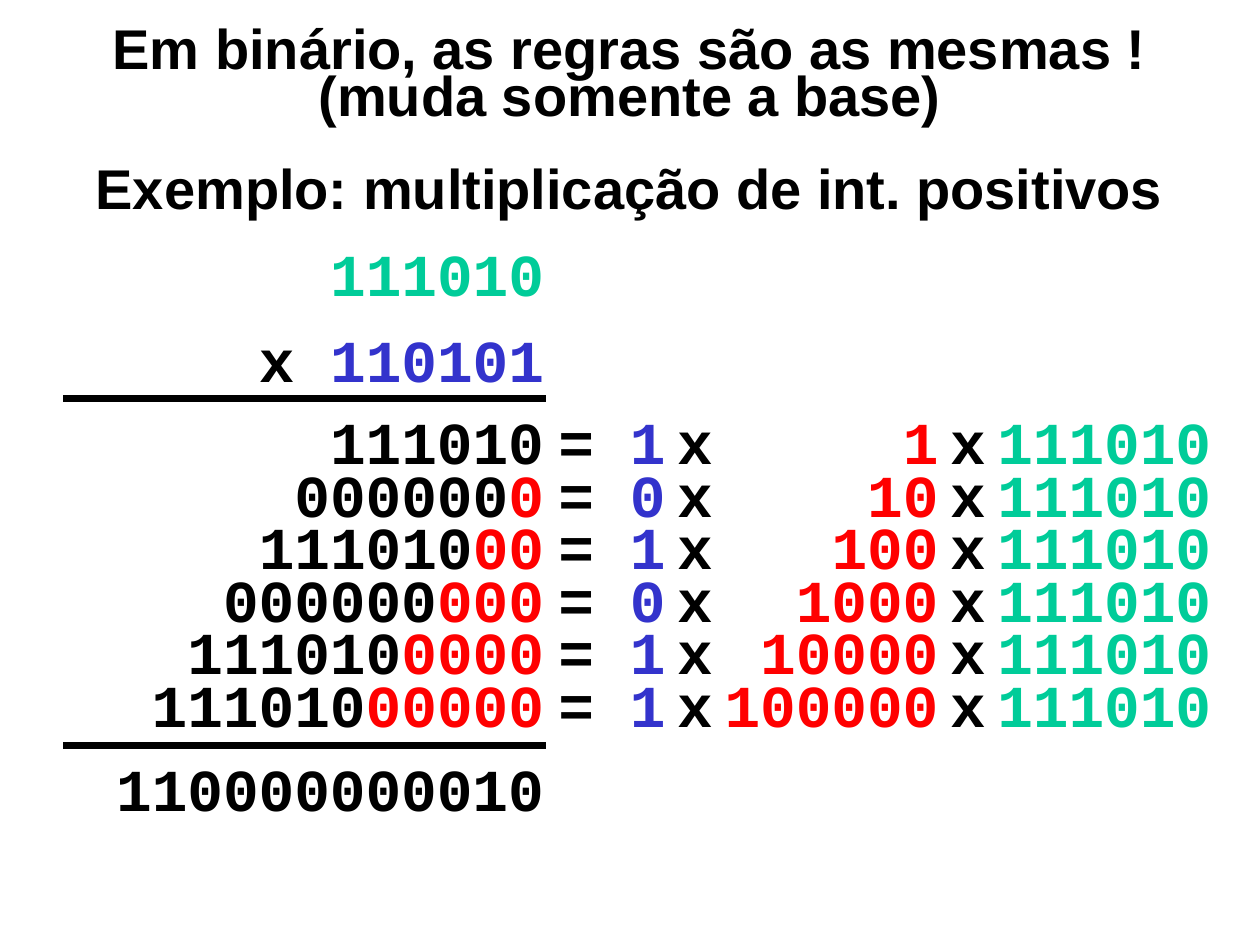
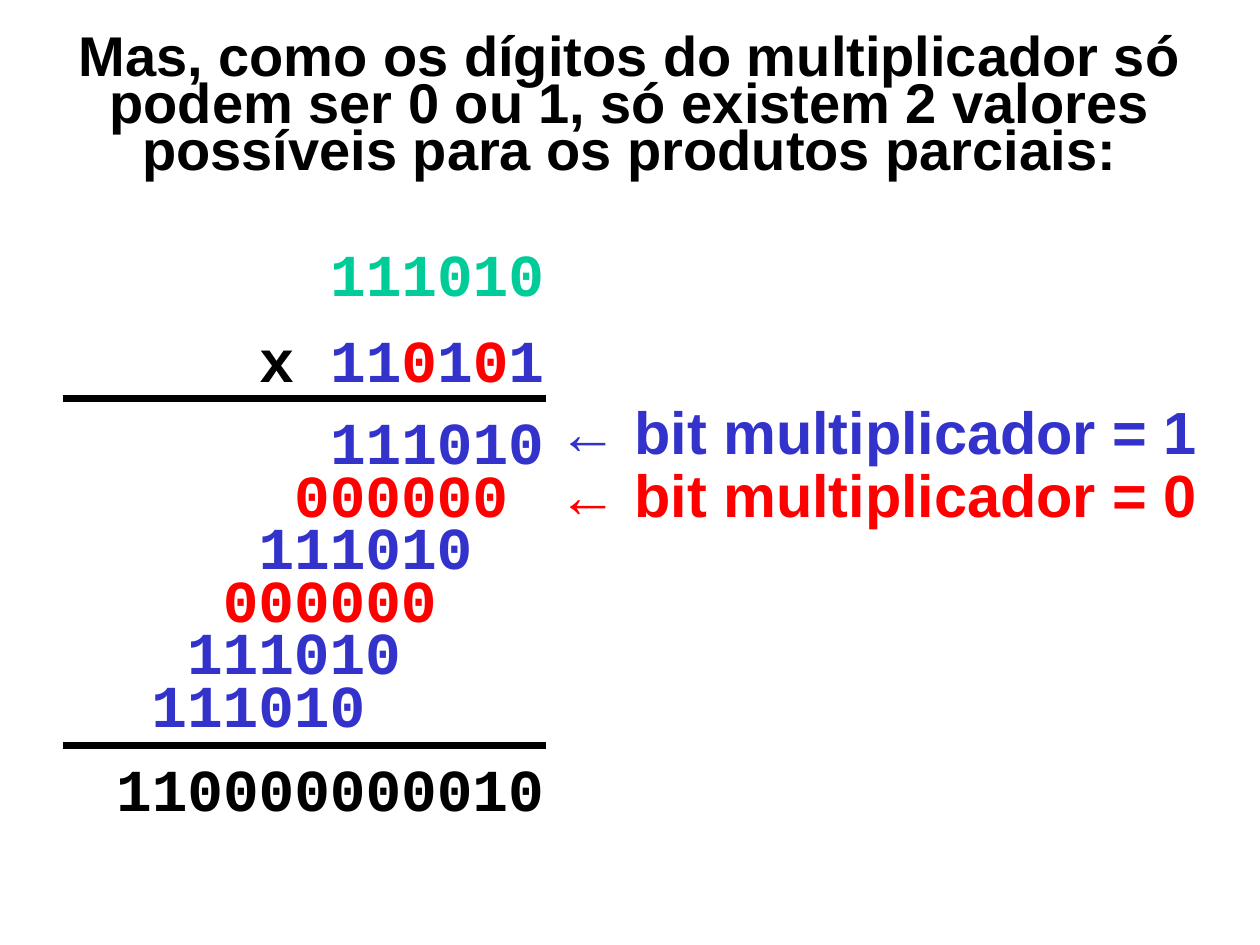
"""Build two slides on binary multiplication and its partial products."""

from lxml.etree import SubElement
from pptx import Presentation
from pptx.dml.color import RGBColor
from pptx.enum.shapes import MSO_CONNECTOR
from pptx.enum.text import MSO_ANCHOR, MSO_AUTO_SIZE, PP_ALIGN
from pptx.oxml.ns import qn
from pptx.util import Pt

BLACK, GREEN, BLUE, RED = "000000", "00CC99", "3333CC", "FF0000"
SANS, MONO = "Arial", "Courier New"
BIT_COLORS = {"1": BLUE, "0": RED}

MULTIPLICAND, MULTIPLIER, PRODUCT = "111010", "110101", "110000000010"
RULES_TITLE = [
    ("Em binário, as regras são as mesmas !", 0),
    ("(muda somente a base)", 0),
    ("Exemplo: multiplicação de int. positivos", 26.8),
]
BITS_TITLE = [
    ("Mas, como os dígitos do multiplicador só podem ser 0 ou 1, "
     "só existem 2 valores possíveis para os produtos parciais:", 0),
]
BIT_LABELS = [("← bit multiplicador = 1", BLUE, 222), ("← bit multiplicador = 0", RED, 258)]

TEXT_SIZE, GAP_SIZE, TITLE_SIZE = 34, 11, 32
DIGIT_WIDTH, GAP_WIDTH = 0.6 * TEXT_SIZE, 0.6 * GAP_SIZE
SIDE_INSET = 7.2
RULE_LEFT, RULE_RIGHT, SUM_RIGHT, SLIDE_RIGHT = 36, 312, 318, 720
ROW_LEFTS = [144, 144, 114, 36, 36, 36]
ROW_TOP, ROW_STEP, ROW_HEIGHT = 228, 30, 42
PRODUCT_TOP = 426
GAP = (" ", BLACK, GAP_SIZE)
POWER_END = 10 * DIGIT_WIDTH + 2 * GAP_WIDTH
EQUATION_TABS = [(POWER_END, "r"), (POWER_END + GAP_WIDTH, "l")]


def color(value):
    """Turn a hex string into a colour."""
    return RGBColor.from_string(value)


def add_tabs(paragraph, tabs):
    """Give a paragraph its tab stops."""
    tab_list = SubElement(paragraph._p.get_or_add_pPr(), qn("a:tabLst"))
    for position, alignment in tabs:
        SubElement(tab_list, qn("a:tab"), pos=str(int(Pt(position))), algn=alignment)


def add_text(slide, left, top, right, height, lines, font=MONO,
             alignment=PP_ALIGN.RIGHT, shift=0, tabs=()):
    """Add a text box with one paragraph for each list of runs."""
    box = slide.shapes.add_textbox(Pt(left), Pt(top), Pt(right - left), Pt(height))
    frame = box.text_frame
    frame.word_wrap = True
    frame.margin_right = Pt(SIDE_INSET + shift * DIGIT_WIDTH)
    for index, runs in enumerate(lines):
        paragraph = frame.add_paragraph() if index else frame.paragraphs[0]
        paragraph.alignment = alignment
        if index:
            paragraph.space_before = Pt(8.5)
        if tabs:
            add_tabs(paragraph, tabs)
        paragraph.font.name = font
        paragraph.font.bold = True
        for text, run_color, *size in runs:
            run = paragraph.add_run()
            run.text = text
            run.font.size = Pt(size[0] if size else TEXT_SIZE)
            run.font.color.rgb = color(run_color)


def add_title(slide, lines, top, height):
    """Place the title and set its lines."""
    title = slide.shapes.title
    title.left, title.top, title.width, title.height = Pt(0), Pt(top), Pt(SLIDE_RIGHT), Pt(height)
    frame = title.text_frame
    frame.auto_size = MSO_AUTO_SIZE.NONE
    frame.word_wrap = True
    frame.vertical_anchor = MSO_ANCHOR.MIDDLE
    frame.text = "\n".join(text for text, _ in lines)
    for paragraph, (_, space) in zip(frame.paragraphs, lines):
        paragraph.alignment = PP_ALIGN.CENTER
        paragraph.line_spacing = 0.7
        paragraph.space_before = Pt(space)
        paragraph.font.name = SANS
        paragraph.font.size = Pt(TITLE_SIZE)
        paragraph.font.bold = True
        paragraph.font.color.rgb = color(BLACK)


def add_rule(slide, y):
    """Draw a thick line across the sum."""
    rule = slide.shapes.add_connector(
        MSO_CONNECTOR.STRAIGHT, Pt(RULE_LEFT), Pt(y), Pt(RULE_RIGHT), Pt(y))
    rule.line.color.rgb = color(BLACK)
    rule.line.width = Pt(4)
    SubElement(rule._element.spPr, qn("a:effectLst"))


def add_sum(slide, multiplier_runs):
    """Add the factors, both rules and the product."""
    factors = [[(MULTIPLICAND, GREEN)], [("x ", BLACK), *multiplier_runs]]
    add_text(slide, 96, 132, SUM_RIGHT, 102, factors)
    add_rule(slide, ROW_TOP)
    add_rule(slide, PRODUCT_TOP)
    add_text(slide, RULE_LEFT, PRODUCT_TOP, SUM_RIGHT, ROW_HEIGHT, [[(PRODUCT, BLACK)]])


def partial_products():
    """Yield bit, place, left, top and digits of each partial product."""
    for place, (bit, left) in enumerate(zip(reversed(MULTIPLIER), ROW_LEFTS)):
        digits = MULTIPLICAND if bit == "1" else "0" * len(MULTIPLICAND)
        yield bit, place, left, ROW_TOP + place * ROW_STEP, digits


def build_rules_slide(slide):
    """Show each partial product with its equation."""
    add_title(slide, RULES_TITLE, 25.2, 92.9)
    add_sum(slide, [(MULTIPLIER, BLUE)])
    for bit, place, left, top, digits in partial_products():
        zeros = [("0" * place, RED)] if place else []
        add_text(slide, left, top, SUM_RIGHT, ROW_HEIGHT, [[(digits, BLACK), *zeros]])
        equation = [("= ", BLACK), (bit, BLUE), GAP, ("x", BLACK),
                    (f"\t1{'0' * place}", RED), ("\tx", BLACK), GAP, (MULTIPLICAND, GREEN)]
        add_text(slide, RULE_RIGHT, top, SLIDE_RIGHT, ROW_HEIGHT, [equation],
                 alignment=PP_ALIGN.LEFT, tabs=EQUATION_TABS)


def build_bits_slide(slide):
    """Colour each partial product by its multiplier bit."""
    add_title(slide, BITS_TITLE, 5.8, 113.8)
    add_sum(slide, [(bit, BIT_COLORS[bit]) for bit in MULTIPLIER])
    for bit, place, left, top, digits in partial_products():
        add_text(slide, left, top, SUM_RIGHT, ROW_HEIGHT,
                 [[(digits, BIT_COLORS[bit])]], shift=place)
    for label, label_color, top in BIT_LABELS:
        add_text(slide, RULE_RIGHT, top, SLIDE_RIGHT, ROW_HEIGHT,
                 [[(label, label_color)]], SANS, PP_ALIGN.LEFT)


def main():
    """Build and save the presentation."""
    presentation = Presentation()
    presentation.slide_width, presentation.slide_height = Pt(SLIDE_RIGHT), Pt(540)
    for build in (build_rules_slide, build_bits_slide):
        build(presentation.slides.add_slide(presentation.slide_layouts[5]))
    presentation.save("out.pptx")


if __name__ == "__main__":
    main()
